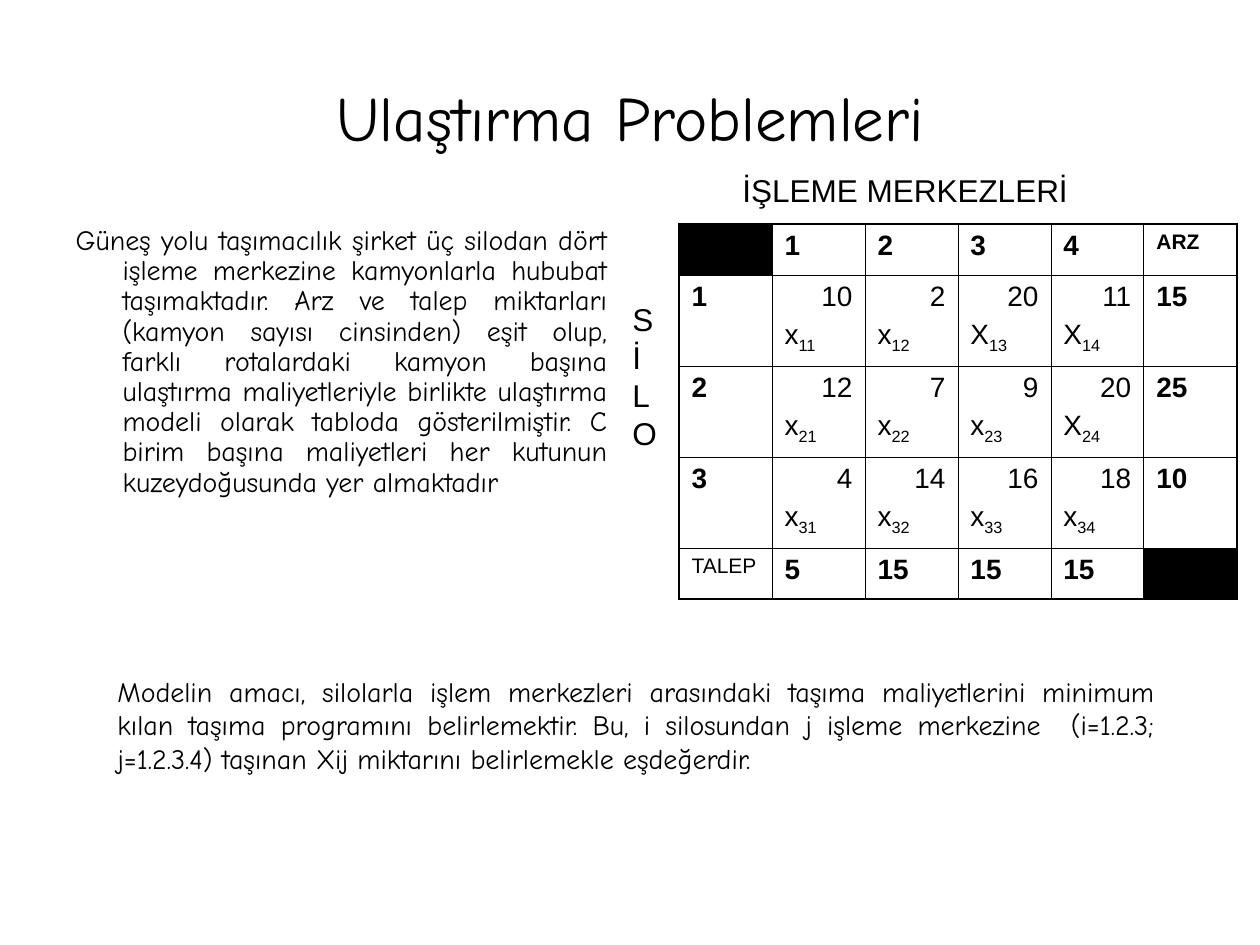
from pptx import Presentation
from pptx.dml.color import RGBColor
from pptx.enum.text import MSO_ANCHOR, MSO_AUTO_SIZE, PP_ALIGN
from pptx.oxml import parse_xml
from pptx.oxml.ns import nsdecls
from pptx.util import Pt

LEFT, CENTER, RIGHT, JUSTIFY = PP_ALIGN.LEFT, PP_ALIGN.CENTER, PP_ALIGN.RIGHT, PP_ALIGN.JUSTIFY
MIDDLE, NO_FIT = MSO_ANCHOR.MIDDLE, MSO_AUTO_SIZE.NONE

THEME = {
    "ink": "000000",
    "hand": "Comic Neue", "sans": "Arial",
    "title": 36, "label": 18, "text": 16, "small": 12,
    "outer_line": 1.08, "inner_line": 0.45,
}
INK = RGBColor.from_string(THEME["ink"])


def px(length):
    return round(length * 914400 / 126)


def write(paragraph, text, subscript="", font=THEME["sans"], size=THEME["text"],
          bold=False, align=LEFT, before=0, spacing=1.0):
    paragraph.alignment = align
    paragraph.space_before = Pt(before)
    paragraph.line_spacing = spacing
    for part, baseline in ((text, 0), (subscript, -25000)):
        if part:
            run = paragraph.add_run()
            run.text = part
            run.font.name, run.font.size, run.font.bold = font, Pt(size), bold
            run.font.color.rgb = INK
            if baseline:
                run._r.get_or_add_rPr().set("baseline", str(baseline))


prs = Presentation()
prs.slide_width, prs.slide_height = px(1260), px(945)
slide = prs.slides.add_slide(prs.slide_layouts[1])

# Title and problem description
title, problem = slide.shapes.title, slide.placeholders[1]
for holder, box in ((title, (63, 38, 1134, 157)), (problem, (63, 220, 557, 431))):
    holder.left, holder.top, holder.width, holder.height = map(px, box)
    holder.text_frame.auto_size = NO_FIT
write(title.text_frame.paragraphs[0], "Ulaştırma Problemleri",
      font=THEME["hand"], size=THEME["title"], align=CENTER)

description = problem.text_frame.paragraphs[0]
write(description,
      "Güneş yolu taşımacılık şirket üç silodan dört işleme merkezine kamyonlarla "
      "hububat taşımaktadır. Arz ve talep miktarları (kamyon sayısı cinsinden) eşit "
      "olup, farklı rotalardaki kamyon başına ulaştırma maliyetleriyle birlikte "
      "ulaştırma modeli olarak tabloda gösterilmiştir. C birim başına maliyetleri "
      "her kutunun kuzeydoğusunda yer almaktadır",
      font=THEME["hand"], align=JUSTIFY, before=4, spacing=0.9)
hanging = description._p.get_or_add_pPr()
hanging.set("marL", str(px(47)))
hanging.set("indent", str(-px(47)))
hanging.append(parse_xml(f"<a:buNone {nsdecls('a')}/>"))

# Transport table: a pair holds unit cost and variable, None is a blocked cell
grid = [
    [None, "1", "2", "3", "4", "ARZ"],
    ["1", ("10", "x11"), ("2", "x12"), ("20", "X13"), ("11", "X14"), "15"],
    ["2", ("12", "x21"), ("7", "x22"), ("9", "x23"), ("20", "X24"), "25"],
    ["3", ("4", "x31"), ("14", "x32"), ("16", "x33"), ("18", "x34"), "10"],
    ["TALEP", "5", "15", "15", "15", None],
]
row_heights = [51, 91, 91, 91, 48]
column_width = 93
last_row, last_column = len(grid) - 1, len(grid[0]) - 1
transport = slide.shapes.add_table(
    len(grid), len(grid[0]), px(679), px(224),
    px(column_width * len(grid[0])), px(sum(row_heights))).table
transport.first_row = transport.horz_banding = False
for column in transport.columns:
    column.width = px(column_width)

for r, (values, height) in enumerate(zip(grid, row_heights)):
    transport.rows[r].height = px(height)
    for c, value in enumerate(values):
        cell = transport.cell(r, c)

        # Borders: heavier around the outside
        edges = {"lnL": c == 0, "lnR": c == last_column, "lnT": r == 0, "lnB": r == last_row}
        for edge, outer in edges.items():
            width = Pt(THEME["outer_line" if outer else "inner_line"])
            cell._tc.get_or_add_tcPr().append(parse_xml(
                f'<a:{edge} {nsdecls("a")} w="{width}"><a:solidFill>'
                f'<a:srgbClr val="{THEME["ink"]}"/></a:solidFill></a:{edge}>'))

        if value is None:
            cell.fill.solid()
            cell.fill.fore_color.rgb = INK
            continue
        cell.fill.background()
        first = cell.text_frame.paragraphs[0]
        if isinstance(value, tuple):
            cost, variable = value
            write(first, cost, align=RIGHT, before=4)
            write(cell.text_frame.add_paragraph(), variable[0], subscript=variable[1:], before=4)
        elif value in ("ARZ", "TALEP"):
            write(first, value, size=THEME["small"], bold=value == "ARZ", before=3)
        else:
            write(first, value, bold=True, before=4)

# Table captions and the aim of the model
label = {"size": THEME["label"], "before": 11.2}
aim = {"font": THEME["hand"], "align": JUSTIFY}
notes = [
    ((730, 165, 397, 50), "İŞLEME MERKEZLERİ", label),
    ((620, 294, 49, 164), "SİLO", label),
    ((105, 668, 1062, 113),
     "Modelin amacı, silolarla işlem merkezleri arasındaki taşıma maliyetlerini "
     "minimum kılan taşıma programını belirlemektir. Bu, i silosundan j işleme "
     "merkezine  (i=1.2.3; j=1.2.3.4) taşınan Xij miktarını belirlemekle eşdeğerdir.", aim),
]
for box, text, style in notes:
    frame = slide.shapes.add_textbox(*map(px, box)).text_frame
    frame.word_wrap = True
    if style is aim:
        frame.vertical_anchor = MIDDLE
    write(frame.paragraphs[0], text, **style)

prs.save("out.pptx")
